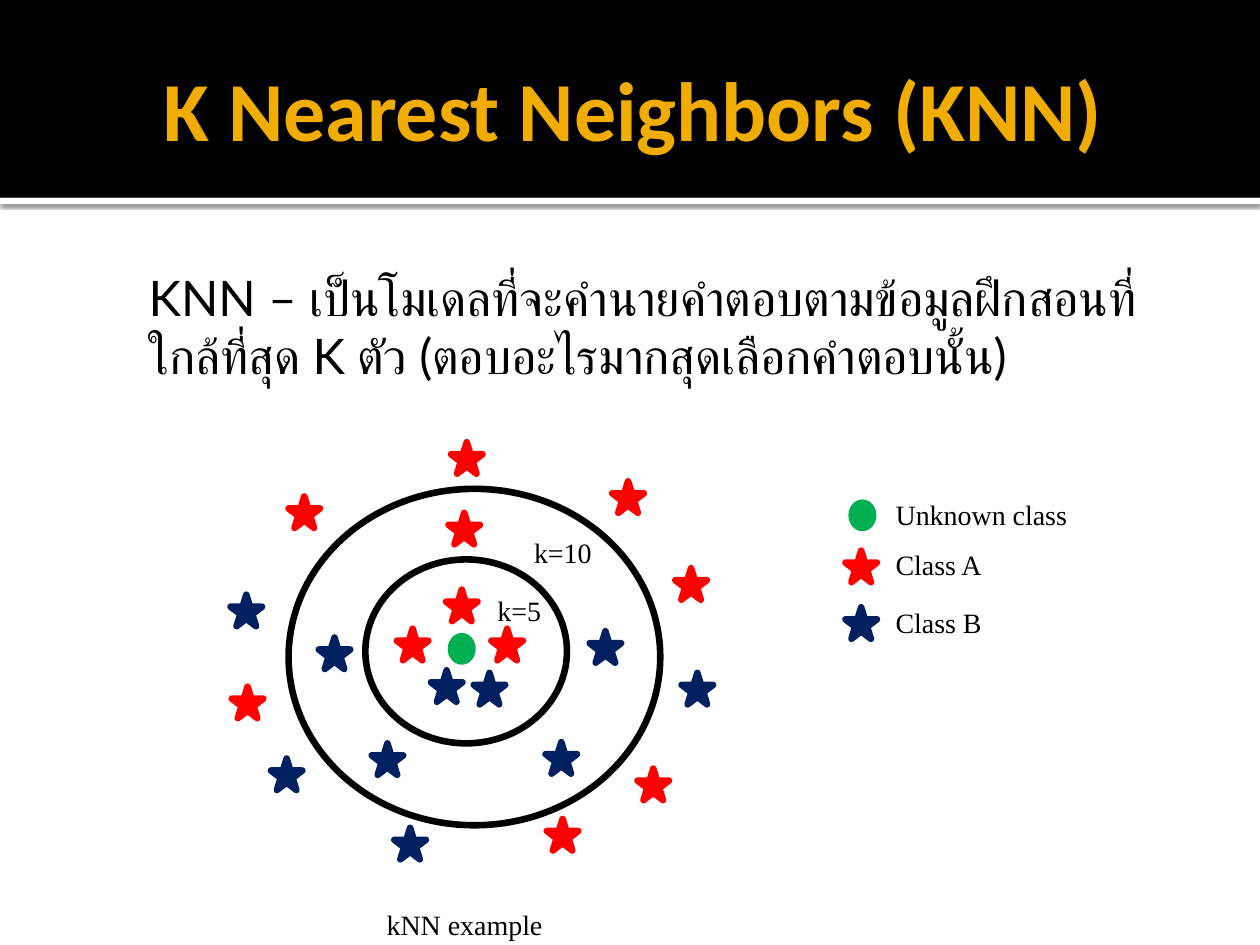
from lxml import etree
from pptx import Presentation
from pptx.dml.color import RGBColor
from pptx.enum.shapes import MSO_SHAPE as Preset
from pptx.enum.text import MSO_ANCHOR as Anchor, PP_ALIGN as Align
from pptx.oxml import parse_xml
from pptx.oxml.ns import nsdecls, qn
from pptx.util import Inches, Pt

BLACK, WHITE, GOLD = "000000", "FFFFFF", "F0AD00"
UNKNOWN, CLASS_A, CLASS_B = "00B050", "FF0000", "002060"
STAR_SIZE = 0.25
DOT_SIZE = (0.17, 0.2)

CLASS_A_SPOTS = [
    (2.29, 3.94), (3.58, 3.51), (3.56, 4.07), (3.15, 4.99), (4.34, 6.5),
    (4.86, 3.82), (5.36, 4.51), (3.54, 4.68), (3.9, 4.99), (5.06, 6.1),
    (1.84, 5.45), (6.71, 4.37),
]
CLASS_B_SPOTS = [
    (3.42, 5.32), (3.76, 5.34), (2.53, 5.06), (2.95, 5.9), (4.33, 5.89),
    (2.15, 6.02), (4.68, 5.01), (1.83, 4.72), (3.13, 6.57), (5.41, 5.34),
    (6.71, 4.82),
]
UNKNOWN_SPOTS = [(3.58, 5.05), (6.76, 3.99)]
RINGS = [(2.9, 4.44, 1.6, 1.46), (2.29, 3.88, 2.95, 2.67)]
LABELS = [
    ("kNN example", 2.97, 7.15, 1.55),
    ("Unknown class", 7.01, 3.9, 1.58),
    ("Class A", 7.01, 4.3, 0.9),
    ("Class B", 7.01, 4.76, 0.9),
    ("k=5", 3.85, 4.66, 0.57),
    ("k=10", 4.14, 4.2, 0.73),
]
EXPLANATION = (
    "KNN – เป็นโมเดลที่จะคำนายคำตอบตามข้อมูลฝึกสอนที่ใกล้ที่สุด K ตัว "
    "(ตอบอะไรมากสุดเลือกคำตอบนั้น)"
)


def color(hex_code):
    return RGBColor.from_string(hex_code)


def inches(*lengths):
    return [Inches(length) for length in lengths]


def add_figure(slide, preset, box, fill=None, line=None):
    figure = slide.shapes.add_shape(preset, *inches(*box))
    figure.shadow.inherit = False
    if fill:
        figure.fill.solid()
        figure.fill.fore_color.rgb = color(fill)
    else:
        figure.fill.background()
    if line:
        figure.line.color.rgb = color(line)
        figure.line.width = Pt(3.78)
        etree.SubElement(figure.element.spPr.find(qn("a:ln")), qn("a:round"))
    else:
        figure.line.fill.background()
    return figure


def add_shadow(figure):
    effects = figure.element.spPr.find(qn("a:effectLst"))
    effects.append(parse_xml(
        f'<a:outerShdw {nsdecls("a")} blurRad="{Pt(2.5)}" dist="{Pt(0.8)}" '
        f'dir="5400000" algn="t" rotWithShape="0"><a:srgbClr val="{BLACK}">'
        '<a:alpha val="60000"/></a:srgbClr></a:outerShdw>'))


def write(frame, text, size, font, ink, bold=False):
    frame.text = text
    run = frame.paragraphs[0].runs[0]
    run.font.size = Pt(size)
    run.font.name = font
    run.font.bold = bold
    run.font.color.rgb = color(ink)


def set_margins(frame, *margins):
    (frame.margin_left, frame.margin_top,
     frame.margin_right, frame.margin_bottom) = inches(*margins)


def add_text(slide, text, box, size, font):
    frame = slide.shapes.add_textbox(*inches(*box)).text_frame
    write(frame, text, size, font, BLACK)
    return frame


def add_header(slide):
    stripe = add_figure(slide, Preset.RECTANGLE, (0, 1.57, 10, 0.05), WHITE)
    add_shadow(stripe)
    add_figure(slide, Preset.RECTANGLE, (0, 0, 10, 1.57), BLACK)
    title = slide.shapes.title
    title.element.getparent().append(title.element)
    title.left, title.top, title.width, title.height = inches(0.5, 0.17, 9, 1.37)
    frame = title.text_frame
    set_margins(frame, 0.1, 0.05, 0.05, 0.05)
    frame.vertical_anchor = Anchor.MIDDLE
    write(frame, "K Nearest Neighbors (KNN)", 48, "Calibri", GOLD, bold=True)
    frame.paragraphs[0].alignment = Align.CENTER


def add_explanation(slide):
    frame = add_text(slide, EXPLANATION, (0.9, 2.02, 8.35, 2.2), 28, "Lato")
    frame.word_wrap = True
    set_margins(frame, 0.28, 0.1, 0.1, 0.05)
    frame.paragraphs[0].space_before = Pt(5.6)


def add_markers(slide, preset, spots, size, tint):
    for spot in spots:
        add_figure(slide, preset, (*spot, *size), tint, tint)


def main():
    deck = Presentation()
    deck.slide_width, deck.slide_height = inches(10, 7.5)
    slide = deck.slides.add_slide(deck.slide_layouts[5])
    add_header(slide)
    add_explanation(slide)
    star = (STAR_SIZE, STAR_SIZE)
    add_markers(slide, Preset.STAR_5_POINT, CLASS_A_SPOTS, star, CLASS_A)
    add_markers(slide, Preset.STAR_5_POINT, CLASS_B_SPOTS, star, CLASS_B)
    add_markers(slide, Preset.OVAL, UNKNOWN_SPOTS, DOT_SIZE, UNKNOWN)
    for ring in RINGS:
        add_figure(slide, Preset.OVAL, ring, line=BLACK)
    for text, left, top, width in LABELS:
        add_text(slide, text, (left, top, width, 0.37), 16, "Times New Roman")
    deck.save("out.pptx")


main()
